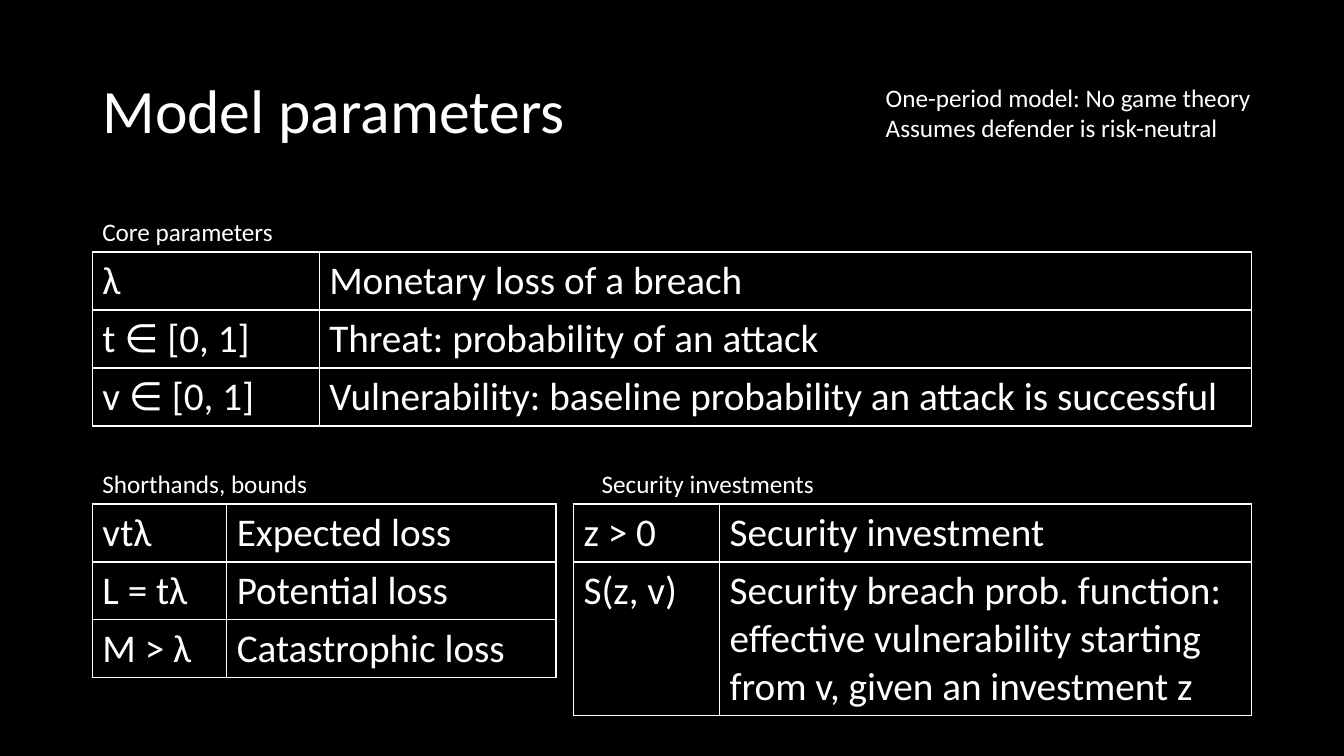
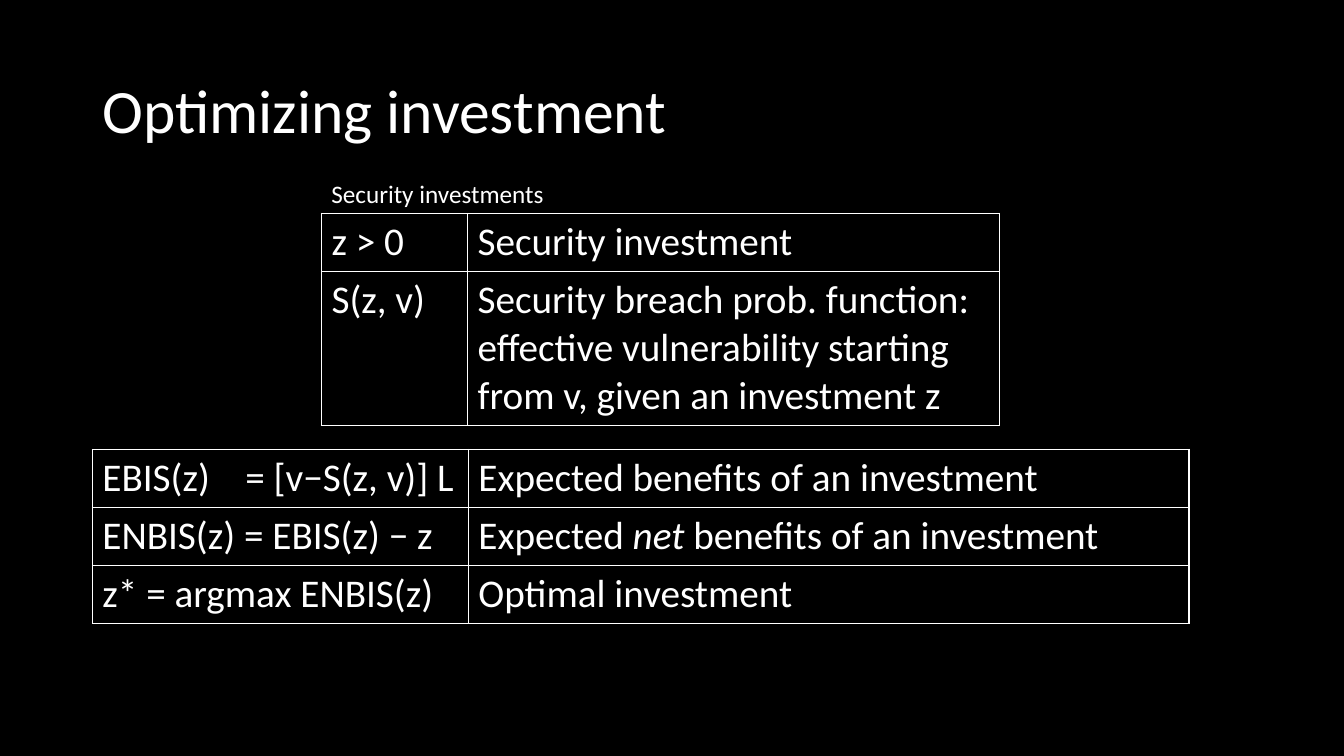
from lxml.etree import SubElement
from pptx import Presentation
from pptx.dml.color import RGBColor
from pptx.enum.text import MSO_ANCHOR, PP_ALIGN
from pptx.oxml.ns import qn
from pptx.util import Pt

BLACK = RGBColor(0, 0, 0)
WHITE = RGBColor(255, 255, 255)
FONT = "Calibri"
TITLE_SIZE, TABLE_SIZE, CAPTION_SIZE = 44, 28, 18
LEFT, CONTENT_WIDTH = 66, 828
CAPTION_HEIGHT = 29
LINE_HEIGHT, CELL_PADDING = 34.2, 7.2
EQUALS_TAB = 102

# In cell text, a line break starts a paragraph and _underscores_ mark italics.
CORE = [
    ("λ", "Monetary loss of a breach"),
    ("t ∈ [0, 1]", "Threat: probability of an attack"),
    ("v ∈ [0, 1]", "Vulnerability: baseline probability an attack is successful"),
]
SHORTHANDS = [
    ("vtλ", "Expected loss"),
    ("L = tλ", "Potential loss"),
    ("M > λ", "Catastrophic loss"),
]
INVESTMENTS = [
    ("z > 0", "Security investment"),
    ("S(z, v)", "Security breach prob. function:\n"
                "effective vulnerability starting from v, given an investment z"),
]
BENEFITS = [
    ("EBIS(z)\t= [v−S(z, v)] L", "Expected benefits of an investment"),
    ("ENBIS(z) = EBIS(z) − z", "Expected _net_ benefits of an investment"),
    ("z* = argmax ENBIS(z)", "Optimal investment"),
]
# Lines of text in each row, after wrapping
SINGLE_ROWS = (1, 1, 1)
INVESTMENT_ROWS = (1, 3)
INVESTMENT_COLUMNS = (104.4, 380.2)

SLIDES = [
    {
        "title": "Model parameters",
        "note": "One-period model: No game theory\nAssumes defender is risk-neutral",
        "tables": [
            dict(caption="Core parameters", left=LEFT, top=180,
                 columns=(162, 666), lines=SINGLE_ROWS, rows=CORE),
            dict(caption="Shorthands, bounds", left=LEFT, top=360,
                 columns=(96, 235.2), lines=SINGLE_ROWS, rows=SHORTHANDS),
            dict(caption="Security investments", caption_indent=13, left=409.6, top=360,
                 columns=INVESTMENT_COLUMNS, lines=INVESTMENT_ROWS, rows=INVESTMENTS),
        ],
    },
    {
        "title": "Optimizing investment",
        "tables": [
            dict(caption="Security investments", left=229.6, top=152.5,
                 columns=INVESTMENT_COLUMNS, lines=INVESTMENT_ROWS, rows=INVESTMENTS),
            dict(left=LEFT, top=321,
                 columns=(268.6, 514.8), lines=SINGLE_ROWS, rows=BENEFITS),
        ],
    },
]


def write_text(frame, text, size):
    """Write paragraphs with italic marks and tab stops into a text frame."""
    for index, line in enumerate(text.split("\n")):
        paragraph = frame.add_paragraph() if index else frame.paragraphs[0]
        paragraph.alignment = PP_ALIGN.LEFT
        if "\t" in line:
            tabs = SubElement(paragraph._p.get_or_add_pPr(), qn("a:tabLst"))
            SubElement(tabs, qn("a:tab"), pos=str(Pt(EQUALS_TAB)), algn="l")
        for part, words in enumerate(line.split("_")):
            run = paragraph.add_run()
            run.text = words
            run.font.color.rgb = WHITE
            for name, value in {"name": FONT, "size": Pt(size), "italic": part % 2 == 1}.items():
                setattr(run.font, name, value)


def add_title(slide, text):
    title = slide.shapes.title
    for name, value in {"left": LEFT, "top": 28.8, "width": CONTENT_WIDTH, "height": 104.4}.items():
        setattr(title, name, Pt(value))
    title.text_frame.vertical_anchor = MSO_ANCHOR.MIDDLE
    write_text(title.text_frame, text, TITLE_SIZE)
    title.text_frame.paragraphs[0].line_spacing = 0.9


def add_label(slide, text, left, top, width, height):
    box = slide.shapes.add_textbox(Pt(left), Pt(top), Pt(width), Pt(height))
    box.text_frame.word_wrap = True
    write_text(box.text_frame, text, CAPTION_SIZE)


def add_borders(cell):
    properties = cell._tc.get_or_add_tcPr()
    for side in ("lnL", "lnR", "lnT", "lnB"):
        line = SubElement(properties, qn(f"a:{side}"), w=str(Pt(1)))
        fill = SubElement(line, qn("a:solidFill"))
        SubElement(fill, qn("a:srgbClr"), val=str(WHITE))


def add_parameter_table(slide, rows, lines, columns, left, top, caption=None, caption_indent=0):
    heights = [count * LINE_HEIGHT + CELL_PADDING for count in lines]
    width = sum(columns)
    table = slide.shapes.add_table(len(rows), len(columns), Pt(left), Pt(top),
                                   Pt(width), Pt(sum(heights))).table
    table.first_row = table.horz_banding = False
    for column, column_width in zip(table.columns, columns):
        column.width = Pt(column_width)
    for row, height, texts in zip(table.rows, heights, rows):
        row.height = Pt(height)
        for cell, text in zip(row.cells, texts):
            add_borders(cell)
            cell.fill.solid()
            cell.fill.fore_color.rgb = BLACK
            write_text(cell.text_frame, text, TABLE_SIZE)
    if caption:
        add_label(slide, caption, left + caption_indent, top - CAPTION_HEIGHT,
                  width - caption_indent, CAPTION_HEIGHT)


def main():
    presentation = Presentation()
    presentation.slide_width, presentation.slide_height = Pt(960), Pt(540)
    background = presentation.slide_master.background.fill
    background.solid()
    background.fore_color.rgb = BLACK
    title_only = presentation.slide_layouts.get_by_name("Title Only")
    for content in SLIDES:
        slide = presentation.slides.add_slide(title_only)
        add_title(slide, content["title"])
        for table in content["tables"]:
            add_parameter_table(slide, **table)
        if "note" in content:
            add_label(slide, content["note"], 625.6, 55.4, 278.6, 51)
    presentation.save("out.pptx")


if __name__ == "__main__":
    main()
